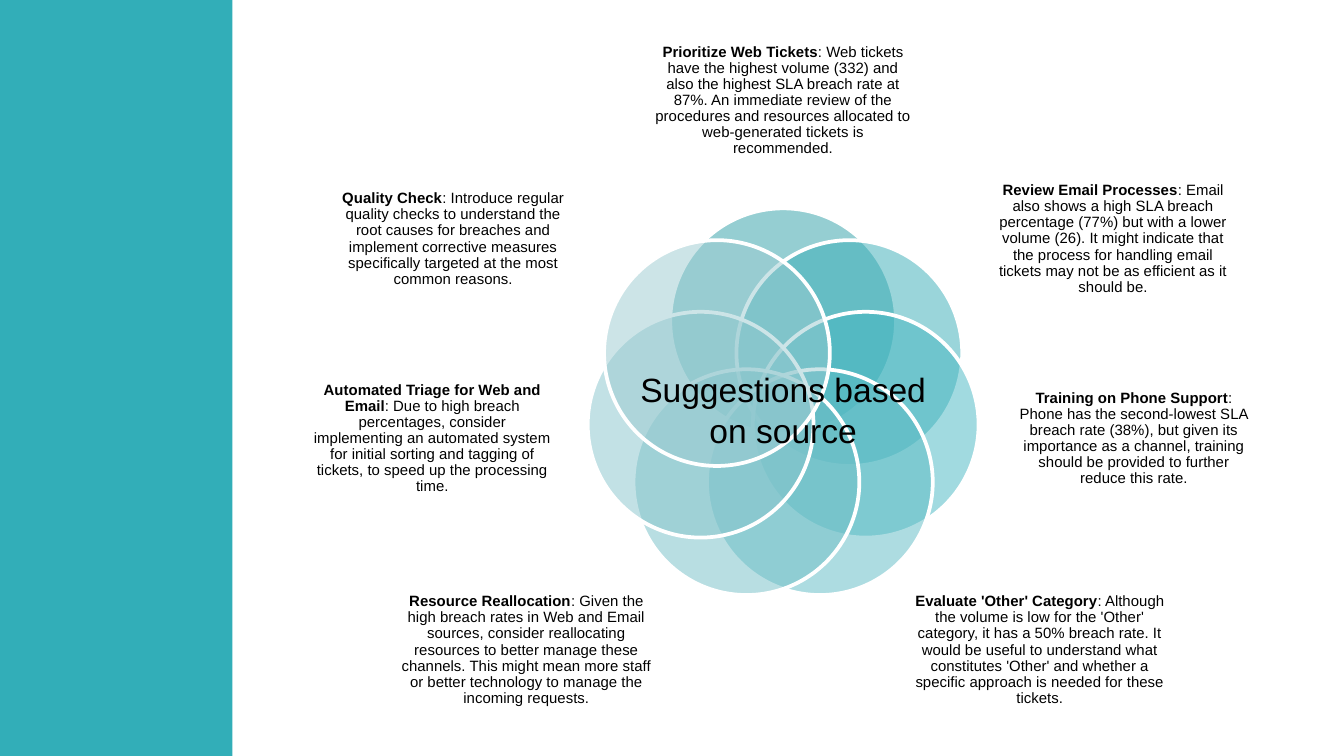
from dataclasses import dataclass
from math import cos, pi, sin

from lxml.etree import SubElement
from pptx import Presentation
from pptx.dml.color import RGBColor as RGB
from pptx.enum.shapes import MSO_SHAPE as Shape
from pptx.enum.text import MSO_ANCHOR as Anchor, PP_ALIGN as Align
from pptx.oxml.ns import qn
from pptx.util import Inches, Pt


@dataclass(frozen=True)
class Theme:
    font: str = "Arial"
    band: str = "32AEB8"
    white: str = "FFFFFF"
    text: str = "000000"
    label_size: float = 8
    title_size: float = 18
    petal_line: float = 2
    petal_alpha: int = 50000


theme = Theme()

prs = Presentation()
prs.slide_width = Inches(10)
prs.slide_height = prs.slide_width * 9 // 16
s = prs.slides.add_slide(prs.slide_layouts[6])
U = prs.slide_width / 100  # one grid column, and one grid row
rows = prs.slide_height / U


def box(shapes, left, top, width, height, kind=None):
    """Add a preset shape, or a text box without a kind, placed in grid units."""
    at = [round(v * U) for v in (left, top, width, height)]
    if kind is None:
        return shapes.add_textbox(*at)
    sp = shapes.add_shape(kind, *at)
    sp.shadow.inherit = False
    sp.fill.solid()
    return sp


def write(sp, runs, size):
    """Centre one paragraph of (text, bold) runs in the shape."""
    tf = sp.text_frame
    tf.word_wrap = True
    tf.vertical_anchor = Anchor.MIDDLE
    p = tf.paragraphs[0]
    p.alignment = Align.CENTER
    for text, bold in runs:
        r = p.add_run()
        r.text = text
        r.font.name = theme.font
        r.font.size = Pt(size)
        r.font.bold = bold
        r.font.color.rgb = RGB.from_string(theme.text)
    return tf


band = box(s.shapes, 0, 0, 17.3, rows, Shape.RECTANGLE)
band.fill.fore_color.rgb = RGB.from_string(theme.band)
band.line.fill.background()

# Clockwise from the top: petal colour, label centre offset from the ring's
# axis, label top, label width and height, heading, body
suggestions = [
    ("2D9EA7", 0, 2.33, 19.3, 10.3, "Prioritize Web Tickets",
     ": Web tickets have the highest volume (332) and also the highest SLA breach rate at 87%. "
     "An immediate review of the procedures and resources allocated to web-generated tickets "
     "is recommended."),
    ("37ADB7", 24.55, 12.15, 18.2, 11.3, "Review Email Processes",
     ": Email also shows a high SLA breach percentage (77%) but with a lower volume (26). "
     "It might indicate that the process for handling email tickets may not be as efficient "
     "as it should be."),
    ("45B7C2", 26.1, 26.6, 17.9, 12.1, "Training on Phone Support",
     ": Phone has the second-lowest SLA breach rate (38%), but given its importance as a "
     "channel, training should be provided to further reduce this rate."),
    ("5CBBC4", 19.1, 42.83, 19.3, 11.1, "Evaluate 'Other' Category",
     ": Although the volume is low for the 'Other' category, it has a 50% breach rate. "
     "It would be useful to understand what constitutes 'Other' and whether a specific "
     "approach is needed for these tickets."),
    ("72BFC7", -19.1, 42.83, 19.3, 11.1, "Resource Reallocation",
     ": Given the high breach rates in Web and Email sources, consider reallocating resources "
     "to better manage these channels. This might mean more staff or better technology to "
     "manage the incoming requests."),
    ("87C5CC", -26.1, 26.6, 17.9, 12.1, "Automated Triage for Web and Email",
     ": Due to high breach percentages, consider implementing an automated system for initial "
     "sorting and tagging of tickets, to speed up the processing time."),
    ("9BCBD1", -24.55, 12.15, 18.2, 11.3, "Quality Check",
     ": Introduce regular quality checks to understand the root causes for breaches and "
     "implement corrective measures specifically targeted at the most common reasons."),
]

axis_x, axis_y, ring, petal = 58.27, 30.2, 6.3, 16.8
group = s.shapes.add_group_shape()
for i, (color, offset, top, width, height, heading, body) in enumerate(suggestions):
    angle = 2 * pi * i / len(suggestions)
    sp = box(group.shapes, axis_x + ring * sin(angle) - petal / 2,
             axis_y - ring * cos(angle) - petal / 2, petal, petal, Shape.OVAL)
    sp.fill.fore_color.rgb = RGB.from_string(color)
    clr = sp.element.spPr.find(qn("a:solidFill"))[0]
    SubElement(clr, qn("a:alpha")).set("val", str(theme.petal_alpha))
    sp.line.color.rgb = RGB.from_string(theme.white)
    sp.line.width = Pt(theme.petal_line)

    label = box(group.shapes, axis_x + offset - width / 2, top, width, height)
    tf = write(label, [(heading, True), (body, False)], theme.label_size)
    tf.margin_left = tf.margin_right = tf.margin_top = tf.margin_bottom = 0
    tf.paragraphs[0].line_spacing = 0.9
    tf.paragraphs[0].space_after = Pt(0.35 * theme.label_size)

title = box(s.shapes, axis_x - 12.6, 21.83, 25.2, 17.3)
write(title, [("Suggestions based on source", False)], theme.title_size)

prs.save("out.pptx")
